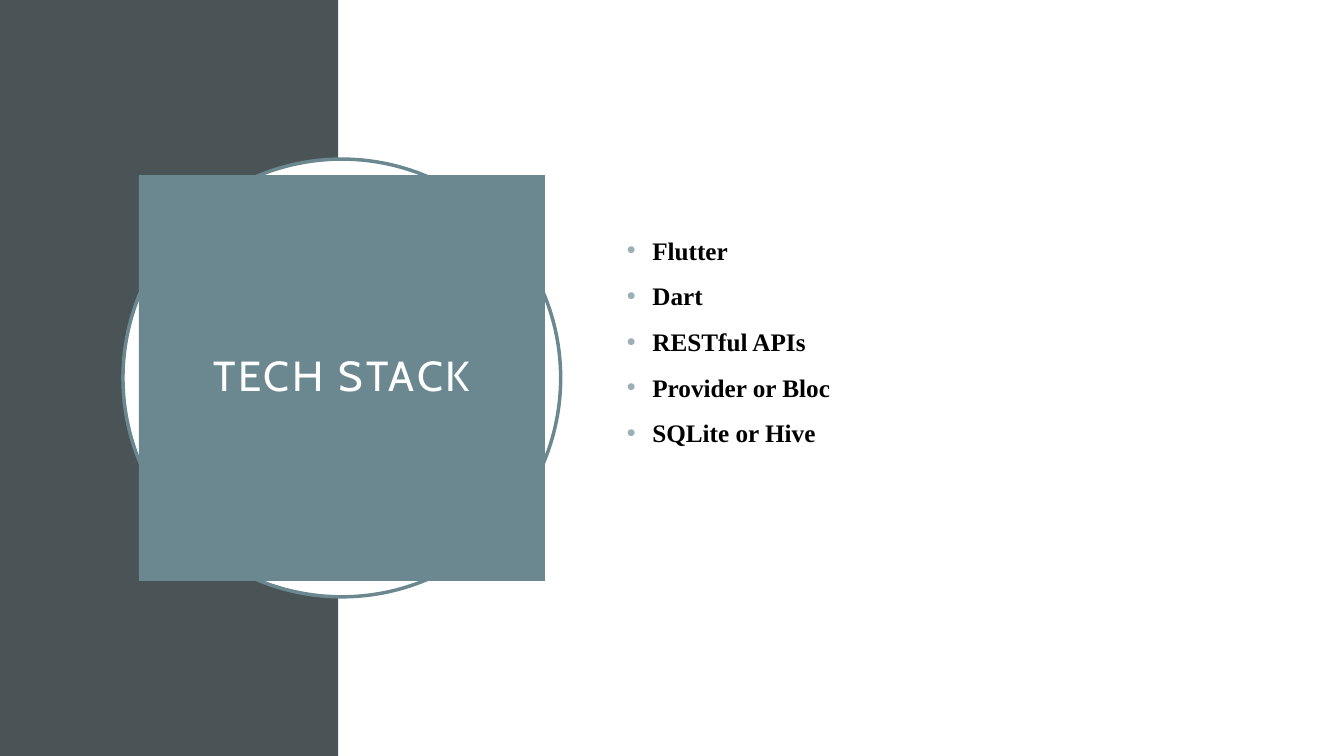
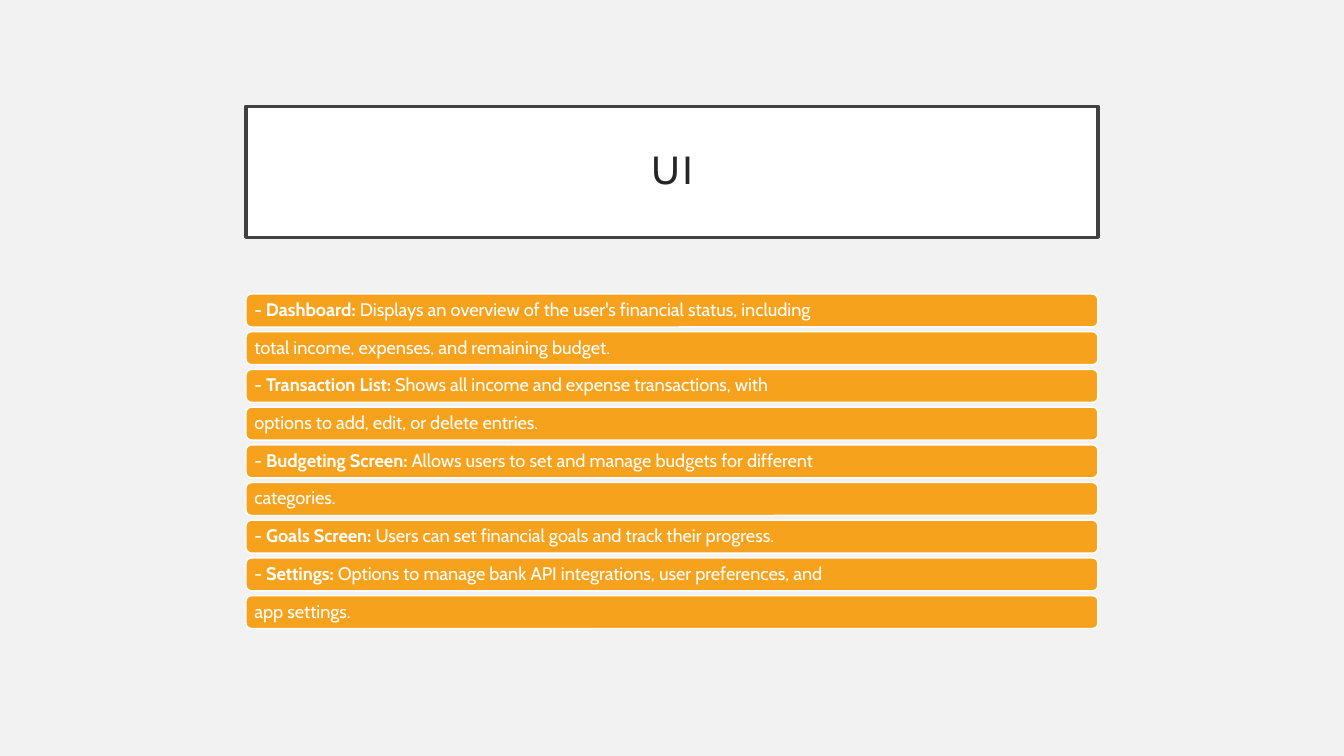
from collections import namedtuple

from lxml.etree import SubElement
from pptx import Presentation
from pptx.dml.color import RGBColor
from pptx.enum.shapes import MSO_SHAPE as Preset
from pptx.enum.text import MSO_ANCHOR as Anchor, MSO_AUTO_SIZE as AutoSize, PP_ALIGN as Align
from pptx.oxml.ns import qn
from pptx.util import Cm, Pt

Box = namedtuple("Box", "left top width height")  # centimetres

SLIDE = Box(0, 0, 33.87, 19.05)
TITLE_ONLY, TITLE_AND_BODY = 5, 1
FONT, LIST_FONT = "Cabin", "Times New Roman"
INSET = 0.5

WHITE = RGBColor(0xFF, 0xFF, 0xFF)
BLACK = RGBColor(0x00, 0x00, 0x00)
PALE_GREY = RGBColor(0xF2, 0xF2, 0xF2)
SLATE = RGBColor(0x4A, 0x53, 0x56)
TEAL = RGBColor(0x6B, 0x88, 0x91)
ORANGE = RGBColor(0xF6, 0xA2, 0x1D)
FRAME_GREY = RGBColor(0x40, 0x40, 0x40)
TITLE_GREY = RGBColor(0x26, 0x26, 0x26)
BULLET_COLOUR = "9BAFB5"

TECHNOLOGIES = ["Flutter", "Dart", "RESTful APIs", "Provider or Bloc", "SQLite or Hive"]

# Each row: (text, bold) runs
SCREEN_ROWS = [
    [("- Dashboard: ", True),
     ("Displays an overview of the user's financial status, including", False)],
    [("total income, expenses, and remaining budget.", False)],
    [("- ", False), ("Transaction List: ", True),
     ("Shows all income and expense transactions, with", False)],
    [("options to add, edit, or delete entries.", False)],
    [("- ", False), ("Budgeting Screen: ", True),
     ("Allows users to set and manage budgets for different", False)],
    [("categories.", False)],
    [("- ", False), ("Goals Screen: ", True),
     ("Users can set financial goals and track their progress.", False)],
    [("- ", False), ("Settings: ", True),
     ("Options to manage bank API integrations, user preferences, and", False)],
    [("app settings.", False)],
]


def place(shape, box):
    for side, length in box._asdict().items():
        setattr(shape, side, Cm(length))


def paint(shape, fill, line=None, line_width=2.5):
    shape.fill.solid()
    shape.fill.fore_color.rgb = fill
    if line is None:
        shape.line.fill.background()
    else:
        shape.line.color.rgb = line
        shape.line.width = Pt(line_width)


def add_preset(slide, preset, box, fill, **outline):
    shape = slide.shapes.add_shape(preset, *map(Cm, box))
    shape.shadow.inherit = False
    paint(shape, fill, **outline)
    return shape


def set_frame(frame, side_inset, end_inset):
    values = {
        "word_wrap": True,
        "auto_size": AutoSize.NONE,
        "vertical_anchor": Anchor.MIDDLE,
        "margin_left": Cm(side_inset),
        "margin_right": Cm(side_inset),
        "margin_top": Cm(end_inset),
        "margin_bottom": Cm(end_inset),
    }
    for name, value in values.items():
        setattr(frame, name, value)


def add_run(paragraph, text, size, colour, bold=False, font=FONT):
    run = paragraph.add_run()
    run.text = text
    for name, value in {"name": font, "size": Pt(size), "bold": bold}.items():
        setattr(run.font, name, value)
    run.font.color.rgb = colour
    return run


def add_slide(deck, layout, background):
    slide = deck.slides.add_slide(deck.slide_layouts[layout])
    slide.background.fill.solid()
    slide.background.fill.fore_color.rgb = background
    return slide


def bring_to_front(slide, shape):
    slide.shapes.element.append(shape.element)


def set_title(slide, box, text, size, colour, fill, line=None):
    title = slide.shapes.title
    place(title, box)
    paint(title, fill, line)
    set_frame(title.text_frame, INSET, INSET)
    paragraph = title.text_frame.paragraphs[0]
    paragraph.alignment = Align.CENTER
    paragraph.line_spacing = 0.9
    run = add_run(paragraph, text, size, colour)
    run.font._element.set("spc", "200")
    bring_to_front(slide, title)


def add_bullet(paragraph):
    properties = paragraph._p.get_or_add_pPr()
    indent = Cm(0.64)
    properties.set("marL", str(indent))
    properties.set("indent", str(-indent))
    colour = SubElement(properties, qn("a:buClr"))
    SubElement(colour, qn("a:srgbClr"), val=BULLET_COLOUR)
    SubElement(properties, qn("a:buFont"), typeface="Arial")
    SubElement(properties, qn("a:buChar"), char="•")


def set_list(slide, box, items):
    body = slide.placeholders[1]
    place(body, box)
    frame = body.text_frame
    set_frame(frame, 0.25, 0.13)
    for index, item in enumerate(items):
        paragraph = frame.add_paragraph() if index else frame.paragraphs[0]
        paragraph.space_before = Pt(11)
        add_bullet(paragraph)
        add_run(paragraph, item, 18, BLACK, bold=True, font=LIST_FONT)
    bring_to_front(slide, body)


def add_badge(slide, box, text):
    """Ringed disc with the title square centred on it."""
    add_preset(slide, Preset.OVAL, box, WHITE, line=TEAL)
    gap = 0.4
    square = Box(box.left + gap, box.top + gap, box.width - 2 * gap, box.height - 2 * gap)
    set_title(slide, square, text, 30, WHITE, TEAL)


def add_rows(slide, box, rows):
    pitch = box.height / len(rows)
    for index, runs in enumerate(rows):
        row_box = Box(box.left, box.top + index * pitch, box.width, pitch - 0.12)
        row = add_preset(slide, Preset.ROUNDED_RECTANGLE, row_box, ORANGE,
                         line=WHITE, line_width=1)
        set_frame(row.text_frame, 0.17, 0)
        paragraph = row.text_frame.paragraphs[0]
        paragraph.alignment = Align.LEFT
        paragraph.line_spacing = 0.9
        for text, bold in runs:
            add_run(paragraph, text, 13, WHITE, bold)


def build_tech_stack(deck):
    slide = add_slide(deck, TITLE_AND_BODY, WHITE)
    band = Box(0, 0, 8.53, SLIDE.height)
    panel = Box(band.width, 0, SLIDE.width - band.width, SLIDE.height)
    add_preset(slide, Preset.RECTANGLE, band, SLATE)
    add_preset(slide, Preset.RECTANGLE, panel, WHITE)
    add_badge(slide, Box(3.1, 4.01, 11.03, 11.03), "TECH STACK")
    set_list(slide, Box(15.55, 3.9, 14.78, 9.4), TECHNOLOGIES)


def build_ui(deck):
    slide = add_slide(deck, TITLE_ONLY, PALE_GREY)
    left, width = 6.2, 21.47
    add_rows(slide, Box(left, 7.41, width, 8.55), SCREEN_ROWS)
    set_title(slide, Box(left, 2.68, width, 3.3), "UI", 28, TITLE_GREY, WHITE, FRAME_GREY)


def main():
    deck = Presentation()
    deck.slide_width, deck.slide_height = Cm(SLIDE.width), Cm(SLIDE.height)
    build_tech_stack(deck)
    build_ui(deck)
    deck.save("out.pptx")


if __name__ == "__main__":
    main()
